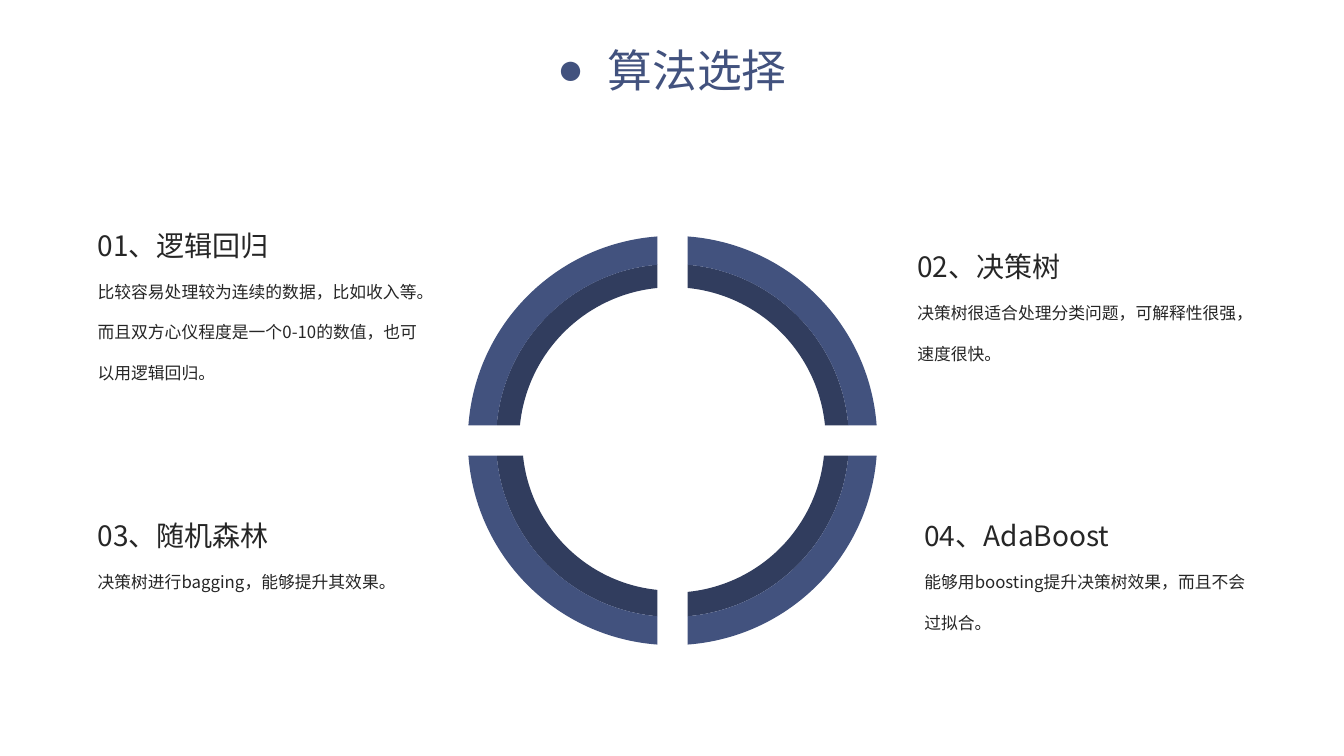
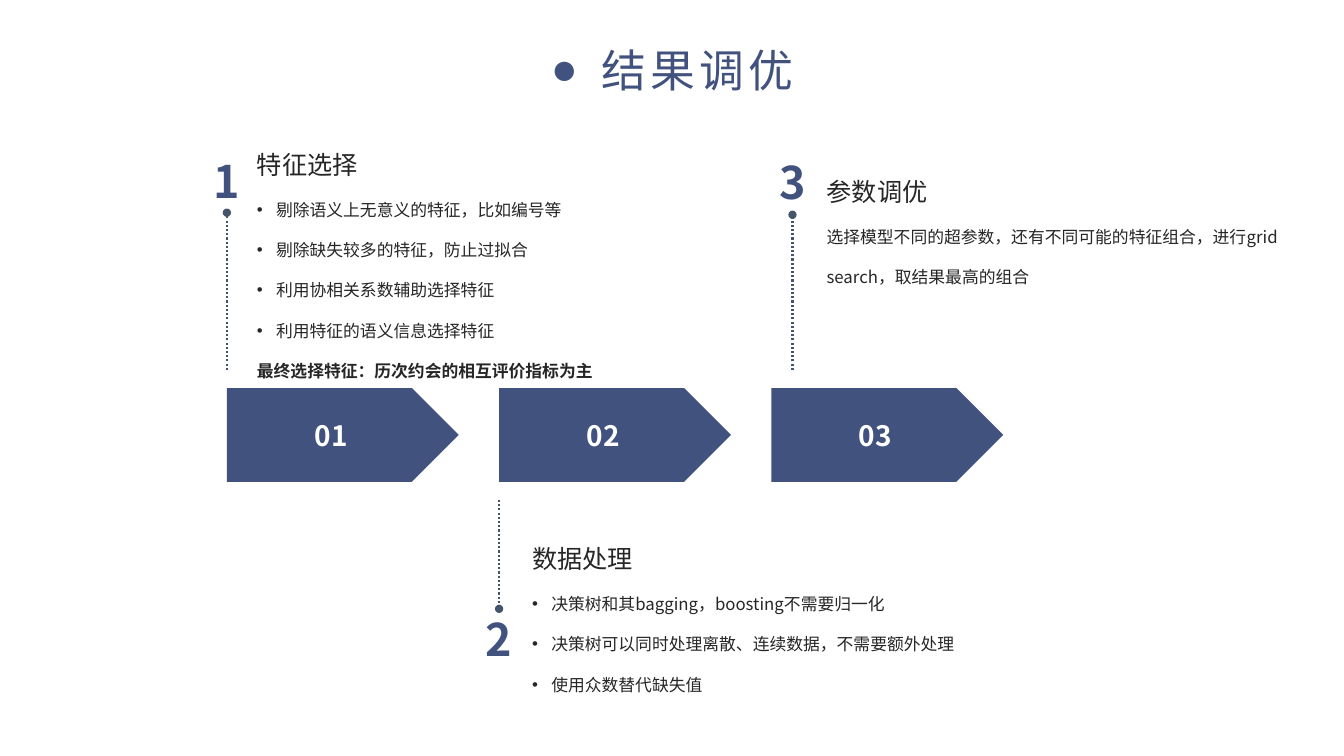
from dataclasses import dataclass
from math import acos, asin, cos, sin, tan

from lxml.etree import Element, SubElement
from pptx import Presentation
from pptx.dml.color import RGBColor
from pptx.enum.dml import MSO_LINE
from pptx.enum.lang import MSO_LANGUAGE_ID
from pptx.enum.shapes import MSO_CONNECTOR, MSO_SHAPE
from pptx.enum.text import MSO_ANCHOR, MSO_AUTO_SIZE, PP_ALIGN
from pptx.oxml.ns import qn
from pptx.util import Inches, Pt


@dataclass(frozen=True)
class Theme:
    font: str = "Noto Sans CJK SC"
    blue: RGBColor = RGBColor(0x42, 0x52, 0x7E)
    navy: RGBColor = RGBColor(0x31, 0x3D, 0x5E)
    slate: RGBColor = RGBColor(0x44, 0x54, 0x6A)
    ink: RGBColor = RGBColor(0x26, 0x26, 0x26)
    white: RGBColor = RGBColor(0xFF, 0xFF, 0xFF)
    title: Pt = Pt(32)
    heading: Pt = Pt(20)
    step_heading: Pt = Pt(18)
    body: Pt = Pt(12)


THEME = Theme()
TITLE_BOX = (4.97, 0.37, 3.39, 0.64)


# Shared helpers
def set_values(target, values):
    for name, value in values.items():
        setattr(target, name, value)


def write(para, text, size, color, bold=False, spacing=None):
    span = para.add_run()
    span.text = text
    set_values(span.font, {"name": THEME.font, "size": size, "bold": bold,
                           "language_id": MSO_LANGUAGE_ID.SIMPLIFIED_CHINESE})
    span.font.color.rgb = color
    properties = span.font._element
    SubElement(properties, qn("a:ea"), typeface=THEME.font)
    if spacing:
        properties.set("spc", str(spacing * 100))


def add_bullet(para, mark, indent):
    properties = para._p.get_or_add_pPr()
    properties.set("marL", str(Inches(indent)))
    properties.set("indent", str(-Inches(indent)))
    SubElement(properties, qn("a:buFont"), typeface="Arial")
    SubElement(properties, qn("a:buChar"), char=mark)


def add_text(page, box, wrap=True):
    frame = page.shapes.add_textbox(*map(Inches, box)).text_frame
    set_values(frame, {"word_wrap": wrap, "auto_size": MSO_AUTO_SIZE.SHAPE_TO_FIT_TEXT})
    return frame


def paint(shape, color):
    shape.shadow.inherit = False
    shape.fill.solid()
    shape.fill.fore_color.rgb = color
    shape.line.fill.background()


# Title with a round bullet
def add_title(page, text, spacing=None):
    para = add_text(page, TITLE_BOX).paragraphs[0]
    para.alignment = PP_ALIGN.CENTER
    add_bullet(para, "●", 0.5)
    write(para, text, THEME.title, THEME.blue, spacing=spacing)


# Heading followed by body lines; each line is (text, style)
def add_note(page, box, heading, size, lines):
    frame = add_text(page, box)
    para = frame.paragraphs[0]
    para.line_spacing = 2.0
    write(para, heading, size, THEME.ink)
    for text, style in lines:
        para = frame.add_paragraph()
        para.line_spacing = 2.0
        if style == "bullet":
            add_bullet(para, "•", 0.19)
        write(para, text, THEME.body, THEME.ink, bold=style == "bold")


# Turn three line segments (two handles and an end) into one curve
def bend(segments):
    curve = Element(qn("a:cubicBezTo"))
    segments[0].addprevious(curve)
    for segment in segments:
        curve.append(segment[0])
        segment.getparent().remove(segment)


# Ring of four quarters, parted by a cross-shaped gap
def add_ring(page, box, inner_radii, middle, gap=0.15):
    left, top, width, height = box
    center_x, center_y, outer = left + width / 2, top + height / 2, width / 2

    def arc(radius, side_x, side_y):
        start, end = asin(gap / radius), acos(gap / radius)
        handle = 4 / 3 * tan((end - start) / 4)
        places = [(start, 0), (start, handle), (end, -handle), (end, 0)]
        return [(Inches(center_x + side_x * radius * (cos(angle) - pull * sin(angle))),
                 Inches(center_y + side_y * radius * (sin(angle) + pull * cos(angle))))
                for angle, pull in places]

    for (side_x, side_y), inner in inner_radii.items():
        quarter = page.shapes.add_group_shape()
        for near, far, color in ((inner, middle, THEME.navy), (middle, outer, THEME.blue)):
            points = arc(near, side_x, side_y) + arc(far, side_x, side_y)[::-1]
            builder = quarter.shapes.build_freeform(*points[0])
            builder.add_line_segments(points[1:], close=True)
            band = builder.convert_to_shape()
            segments = list(band._element.iter(qn("a:lnTo")))
            bend(segments[:3])
            bend(segments[4:])
            paint(band, color)


# Row of numbered arrows, the last one at the back
def add_arrows(page, box, count, gap):
    left, top, width, height = box
    for index in reversed(range(count)):
        arrow = page.shapes.add_shape(
            MSO_SHAPE.PENTAGON, Inches(left + index * (width + gap)), Inches(top),
            Inches(width), Inches(height))
        paint(arrow, THEME.blue)
        arrow.text_frame.vertical_anchor = MSO_ANCHOR.MIDDLE
        para = arrow.text_frame.paragraphs[0]
        para.alignment = PP_ALIGN.CENTER
        write(para, f"{index + 1:02}", THEME.heading, THEME.white, bold=True)


# Dotted stem with a dot at its end and a number beside the dot
def add_marker(page, number, x, start, end, number_top):
    stem = page.shapes.add_connector(
        MSO_CONNECTOR.STRAIGHT, Inches(x), Inches(start), Inches(x), Inches(end))
    set_values(stem.line, {"width": Pt(1.5), "dash_style": MSO_LINE.ROUND_DOT})
    stem.line.color.rgb = THEME.slate
    properties = stem._element.spPr
    SubElement(properties.find(qn("a:ln")), qn("a:tailEnd"), type="oval")
    SubElement(properties, qn("a:effectLst"))
    para = add_text(page, (x - 0.24, number_top, 0.48, 0.64), wrap=False).paragraphs[0]
    para.alignment = PP_ALIGN.CENTER
    write(para, number, THEME.title, THEME.blue, bold=True)


# Slide 1: four algorithms around the ring
def build_algorithms(page):
    add_ring(page, (4.64, 2.34, 4.06, 4.06),
             {(-1, -1): 1.52, (1, -1): 1.52, (-1, 1): 1.49, (1, 1): 1.51}, middle=1.75)
    notes = [
        (0.87, 1.88, 1.99, "01、逻辑回归",
         "比较容易处理较为连续的数据，比如收入等。而且双方心仪程度是一个0-10的数值，也可以用逻辑回归。"),
        (0.87, 4.76, 1.18, "03、随机森林", "决策树进行bagging，能够提升其效果。"),
        (9, 2.09, 1.99, "02、决策树", "决策树很适合处理分类问题，可解释性很强，速度很快。"),
        (9.07, 4.76, 1.58, "04、AdaBoost", "能够用boosting提升决策树效果，而且不会过拟合。"),
    ]
    for left, top, height, heading, text in notes:
        add_note(page, (left, top, 3.53, height), heading, THEME.heading, [(text, "plain")])
    add_title(page, "算法选择")


# Slide 2: three tuning steps along the arrows
def build_tuning(page):
    add_title(page, "结果调优", spacing=3)
    markers = [
        ("1", 2.25, 3.67, 2.11, 1.48),
        ("3", 7.86, 3.67, 2.13, 1.49),
        ("2", 4.95, 4.96, 6.04, 6.02),
    ]
    for marker in markers:
        add_marker(page, *marker)
    add_arrows(page, (2.25, 3.85, 2.3, 0.93), count=3, gap=0.4)
    notes = [
        ((2.45, 1.13, 4.37, 3.53), "特征选择", [
            ("剔除语义上无意义的特征，比如编号等", "bullet"),
            ("剔除缺失较多的特征，防止过拟合", "bullet"),
            ("利用协相关系数辅助选择特征", "bullet"),
            ("利用特征的语义信息选择特征", "bullet"),
            ("最终选择特征：历次约会的相互评价指标为主", "bold")]),
        ((8.1, 1.4, 5.08, 1.51), "参数调优", [
            ("选择模型不同的超参数，还有不同可能的特征组合，进行grid search，取结果最高的组合", "plain")]),
        ((5.18, 5.04, 4.56, 1.92), "数据处理", [
            ("决策树和其bagging，boosting不需要归一化", "bullet"),
            ("决策树可以同时处理离散、连续数据，不需要额外处理", "bullet"),
            ("使用众数替代缺失值", "bullet")]),
    ]
    for box, heading, lines in notes:
        add_note(page, box, heading, THEME.step_heading, lines)


deck = Presentation()
set_values(deck, {"slide_width": Inches(13.33), "slide_height": Inches(7.5)})
for build in (build_algorithms, build_tuning):
    build(deck.slides.add_slide(deck.slide_layouts[6]))
deck.save("out.pptx")
